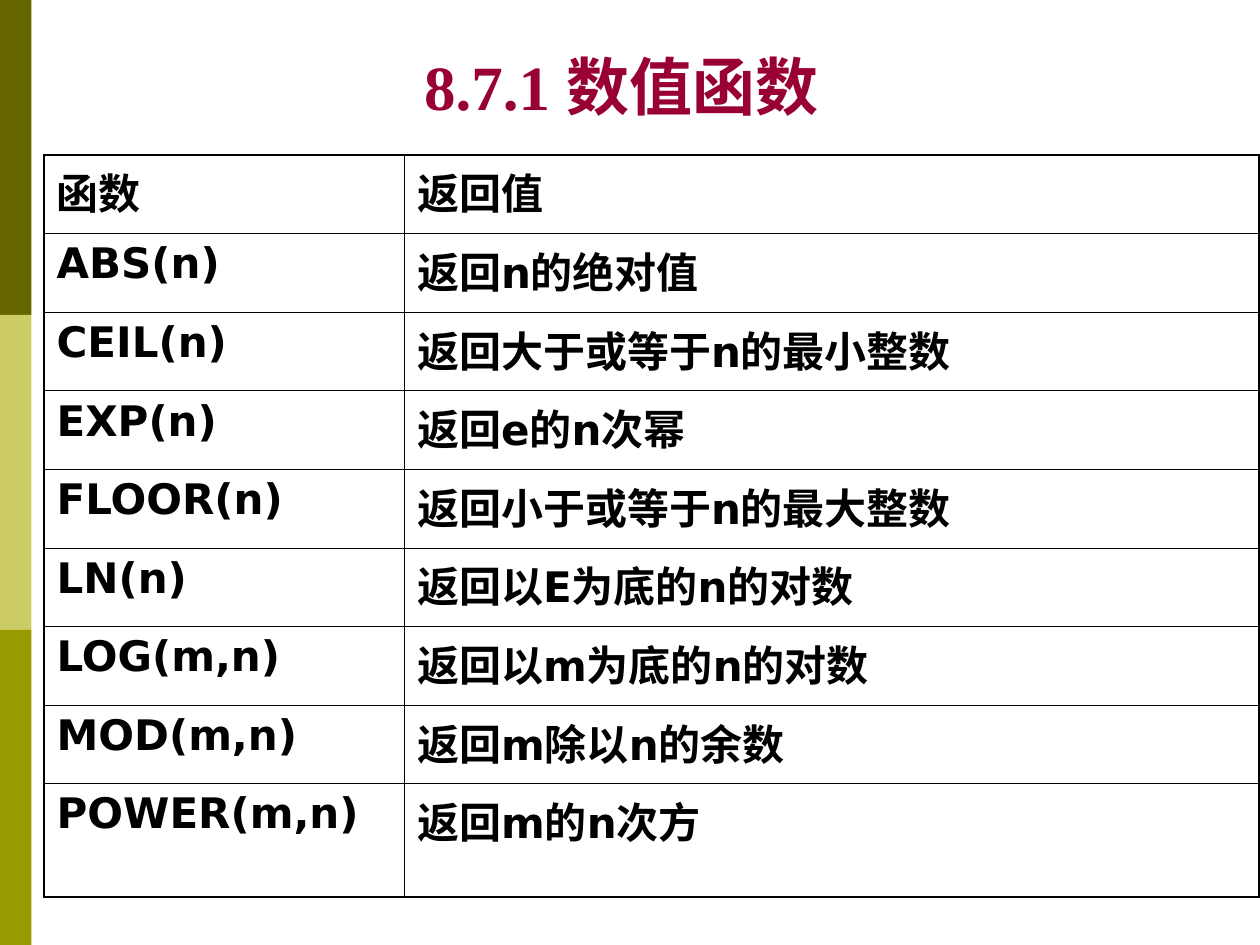
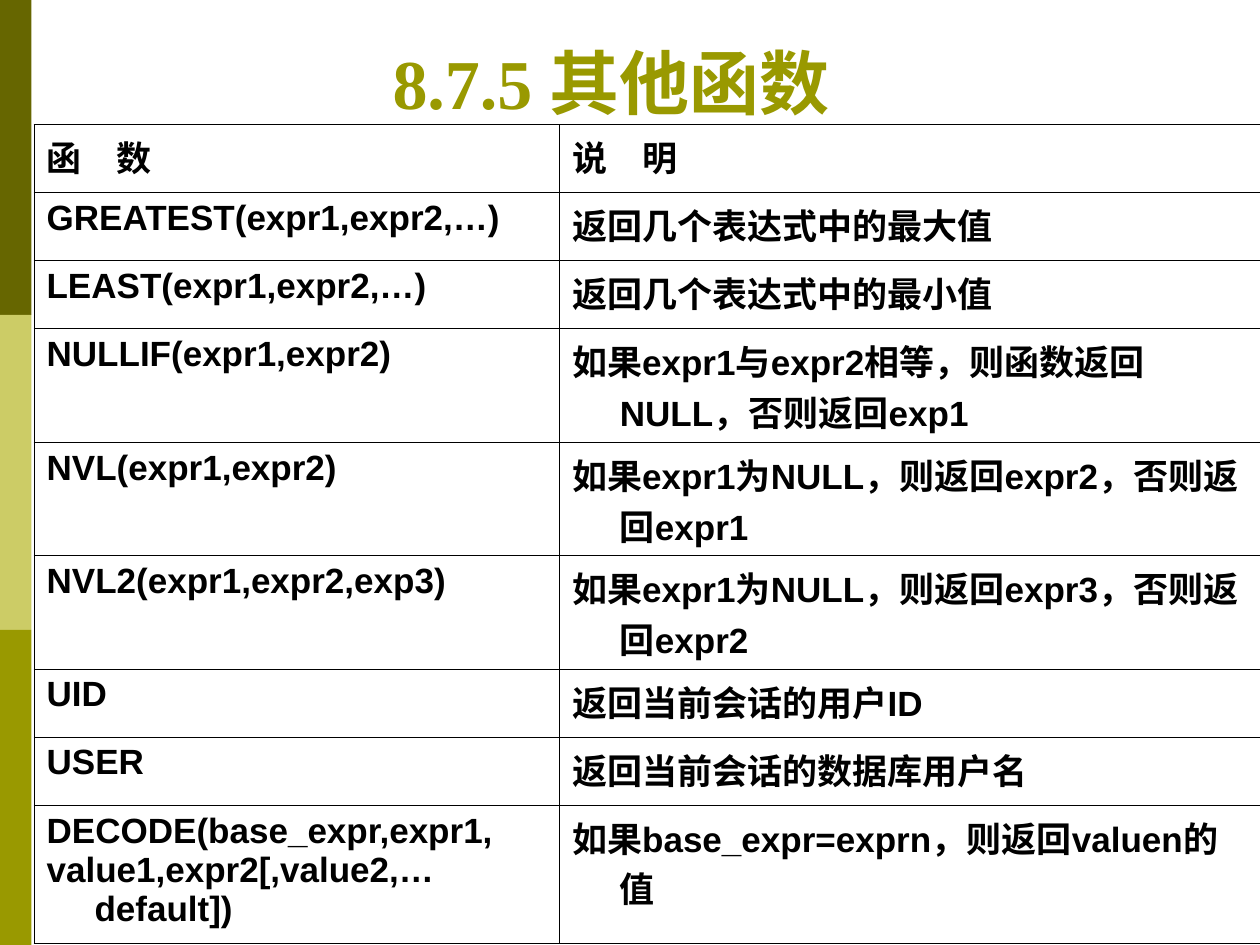
import lxml.etree
import pptx
import pptx.dml.color
import pptx.enum.shapes
import pptx.enum.text
import pptx.oxml.ns
import pptx.util
from pptx.util import Inches

BLACK = "000000"
CRIMSON = "990033"
OLIVE = "999900"
BAND_COLORS = ["666600", "CCCC66", OLIVE]
BAND_WIDTH = 0.25
BAND_HEIGHT = 2.5
THIN = 0.45
THICK = 1.08


def color(value):
    return pptx.dml.color.RGBColor.from_string(value)


class Deck:
    def __init__(self):
        self.presentation = pptx.Presentation()
        self.presentation.slide_width = Inches(10)
        self.presentation.slide_height = Inches(7.5)
        self.slide = None

    def add_slide(self):
        self.slide = self.presentation.slides.add_slide(self.presentation.slide_layouts[6])
        for index, band_color in enumerate(BAND_COLORS):
            self.add_band(index * BAND_HEIGHT, band_color)

    def add_band(self, top, band_color):
        shape = self.slide.shapes.add_shape(
            pptx.enum.shapes.MSO_SHAPE.RECTANGLE,
            Inches(0), Inches(top), Inches(BAND_WIDTH), Inches(BAND_HEIGHT))
        shape.shadow.inherit = False
        shape.fill.solid()
        shape.fill.fore_color.rgb = color(band_color)
        shape.line.fill.background()

    def style_paragraph(self, paragraph, font_name, size, text_color):
        font = paragraph.font
        font.name = font_name
        font.size = pptx.util.Pt(size)
        font.bold = True
        font.color.rgb = color(text_color)

    def add_title(self, text, left, size, text_color):
        box = self.slide.shapes.add_textbox(Inches(left), Inches(0), Inches(9), Inches(1.03))
        frame = box.text_frame
        frame.word_wrap = True
        frame.vertical_anchor = pptx.enum.text.MSO_ANCHOR.BOTTOM
        frame.text = text
        paragraph = frame.paragraphs[0]
        paragraph.alignment = pptx.enum.text.PP_ALIGN.CENTER
        self.style_paragraph(paragraph, "Times New Roman", size, text_color)

    def add_border(self, cell, side, width):
        qn = pptx.oxml.ns.qn
        line = lxml.etree.SubElement(
            cell._tc.get_or_add_tcPr(), qn(f"a:ln{side}"), w=str(pptx.util.Pt(width)))
        fill = lxml.etree.SubElement(line, qn("a:solidFill"))
        lxml.etree.SubElement(fill, qn("a:srgbClr"), val=BLACK)

    def add_table(self, rows, left, top, widths, heights, font_name, size,
                  outline=THIN, hanging=0):
        frame = self.slide.shapes.add_table(
            len(rows), len(widths), Inches(left), Inches(top),
            Inches(sum(widths)), Inches(sum(heights)))
        table = frame.table
        table.first_row = False
        table.horz_banding = False
        for column, width in zip(table.columns, widths):
            column.width = Inches(width)
        last_row, last_column = len(rows) - 1, len(widths) - 1
        for row_index, (texts, height) in enumerate(zip(rows, heights)):
            table.rows[row_index].height = Inches(height)
            for column_index, text in enumerate(texts):
                cell = table.cell(row_index, column_index)
                outer_sides = {
                    "L": column_index == 0,
                    "R": column_index == last_column,
                    "T": row_index == 0,
                    "B": row_index == last_row,
                }
                for side, is_outer in outer_sides.items():
                    self.add_border(cell, side, outline if is_outer else THIN)
                cell.fill.background()
                cell.text_frame.text = text
                for paragraph in cell.text_frame.paragraphs:
                    if hanging:
                        properties = paragraph._p.get_or_add_pPr()
                        properties.set("marL", str(Inches(hanging)))
                        properties.set("indent", str(-Inches(hanging)))
                    self.style_paragraph(paragraph, font_name, size, BLACK)


NUMERIC_FUNCTIONS = [
    ("函数", "返回值"),
    ("ABS(n)", "返回n的绝对值"),
    ("CEIL(n)", "返回大于或等于n的最小整数"),
    ("EXP(n)", "返回e的n次幂"),
    ("FLOOR(n)", "返回小于或等于n的最大整数"),
    ("LN(n)", "返回以E为底的n的对数"),
    ("LOG(m,n)", "返回以m为底的n的对数"),
    ("MOD(m,n)", "返回m除以n的余数"),
    ("POWER(m,n)", "返回m的n次方"),
]

OTHER_FUNCTIONS = [
    ("函　数", "说　明"),
    ("GREATEST(expr1,expr2,…)", "返回几个表达式中的最大值"),
    ("LEAST(expr1,expr2,…)", "返回几个表达式中的最小值"),
    ("NULLIF(expr1,expr2)", "如果expr1与expr2相等，则函数返回NULL，否则返回exp1"),
    ("NVL(expr1,expr2)", "如果expr1为NULL，则返回expr2，否则返回expr1"),
    ("NVL2(expr1,expr2,exp3)", "如果expr1为NULL，则返回expr3，否则返回expr2"),
    ("UID", "返回当前会话的用户ID"),
    ("USER", "返回当前会话的数据库用户名"),
    ("DECODE(base_expr,expr1,\nvalue1,expr2[,value2,…default])",
     "如果base_expr=exprn，则返回valuen的值"),
]


def main():
    deck = Deck()

    deck.add_slide()
    deck.add_title("8.7.1 数值函数", 0.43, 36, CRIMSON)
    row_height = (5.89 - 0.9) / 8
    deck.add_table(NUMERIC_FUNCTIONS, 0.35, 1.23, [2.86, 6.78],
                   [row_height] * 8 + [0.9], "DejaVu Sans", 24, outline=THICK)

    deck.add_slide()
    deck.add_title("8.7.5 其他函数", 0.35, 40, OLIVE)
    one_line, two_lines, three_lines = 0.54, 0.9, 1.1
    deck.add_table(OTHER_FUNCTIONS, 0.27, 0.99, [4.17, 5.56],
                   [one_line] * 3 + [two_lines] * 3 + [one_line] * 2 + [three_lines],
                   "Arial", 20, hanging=0.38)

    deck.presentation.save("out.pptx")


if __name__ == "__main__":
    main()
